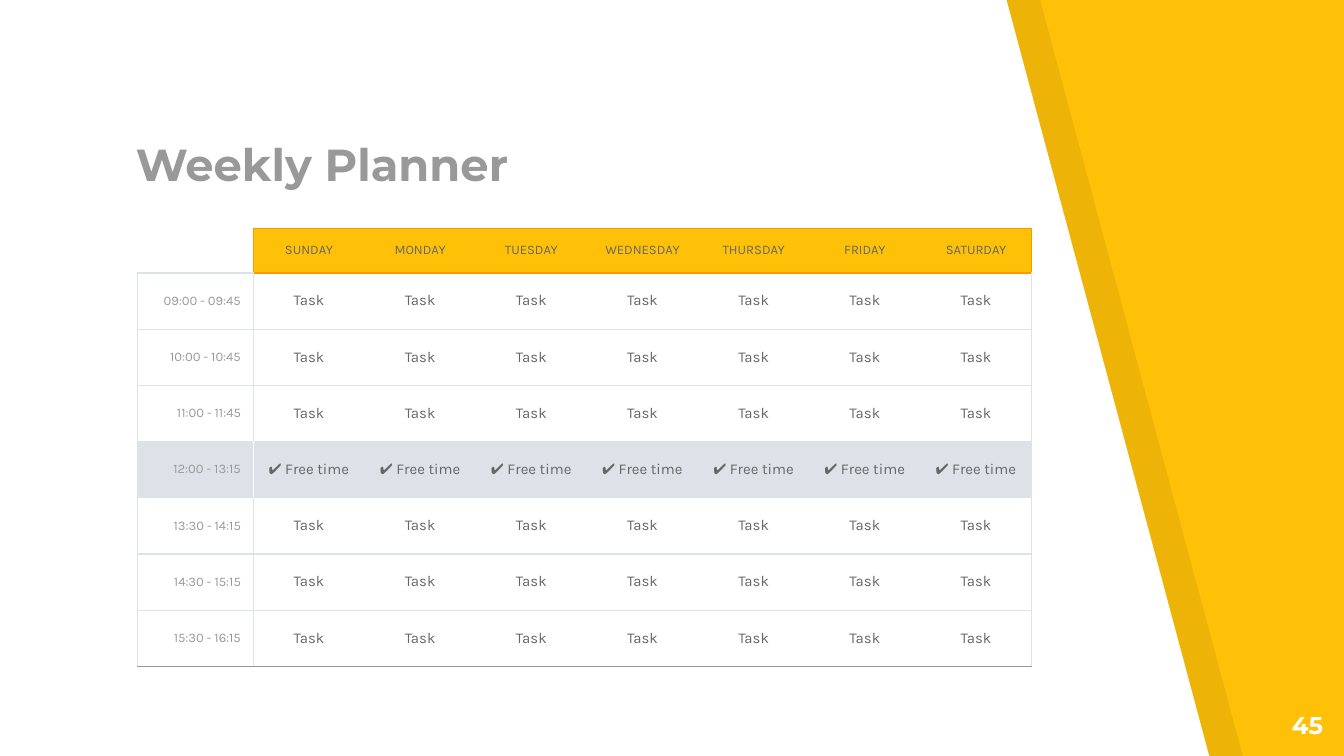
from dataclasses import dataclass

from lxml.etree import SubElement as Sub
from pptx import Presentation
from pptx.dml.color import RGBColor as Rgb
from pptx.enum.text import MSO_ANCHOR as Anchor, MSO_AUTO_SIZE as Fit, PP_ALIGN as Align
from pptx.oxml.ns import qn
from pptx.util import Pt

PX = 9525
PAD = 9


@dataclass(frozen=True)
class Theme:
    amber: str = "FFC107"
    rim: str = "FF9800"
    line: str = "DCE2E7"
    white: str = "FFFFFF"
    black: str = "000000"
    ink: str = "666666"
    grey: str = "999999"
    head: str = "Montserrat"
    body: str = "Karla"
    title: int = 24
    page: int = 13
    task: int = 8
    label: int = 7
    rule: float = 0.75


T = Theme()
DAYS = ["SUNDAY", "MONDAY", "TUESDAY", "WEDNESDAY", "THURSDAY", "FRIDAY", "SATURDAY"]
TIMES = ["09:00 - 09:45", "10:00 - 10:45", "11:00 - 11:45", "12:00 - 13:15",
         "13:30 - 14:15", "14:30 - 15:15", "15:30 - 16:15"]
BREAK = 4


def scale(box):
    return [n * PX for n in box]


def pad(part):
    part.margin_left = part.margin_right = PAD * PX
    part.margin_top = part.margin_bottom = PAD * PX


def write(frame, text, size, tone, face, align, bold=False):
    para = frame.paragraphs[0]
    para.alignment = align
    run = para.add_run()
    run.text = text
    font = run.font
    font.size, font.name, font.bold = Pt(size), face, bold
    font.color.rgb = Rgb.from_string(tone)


def panel(slide, box, tone, alpha=None):
    x, y, w, h = box
    form = slide.shapes.build_freeform(x, y, scale=PX)
    form.add_line_segments([(x, y + h), (x + w, y + h), (x + w - 145, y + 1)], close=True)
    shape = form.convert_to_shape()
    shape.shadow.inherit = False
    shape.line.fill.background()
    shape.fill.solid()
    shape.fill.fore_color.rgb = Rgb.from_string(tone)
    if alpha:
        color = shape.element.spPr.find(".//" + qn("a:srgbClr"))
        Sub(color, qn("a:alpha"), val=str(alpha * 1000))
    slide.slide_layout.shapes.element.append(shape.element)


def title(slide, box, text):
    shape = slide.shapes.title
    shape.left, shape.top, shape.width, shape.height = scale(box)
    frame = shape.text_frame
    frame.auto_size, frame.word_wrap = Fit.NONE, True
    frame.vertical_anchor = Anchor.BOTTOM
    pad(frame)
    write(frame, text, T.title, T.grey, T.head, Align.LEFT, True)


def number(slide, box, text):
    frame = slide.shapes.add_textbox(*scale(box)).text_frame
    frame.word_wrap = True
    pad(frame)
    write(frame, text, T.page, T.white, T.head, Align.RIGHT, True)


def upright(row, edge):
    if 1 < edge <= len(DAYS):
        return None
    if row == 0:
        return T.rim if edge else None
    return T.white if row == BREAK and edge == 1 else T.line


def level(edge, col):
    if edge > len(TIMES):
        return T.grey
    if edge < 2 and col:
        return T.rim
    return T.line if edge else None


def border(cell, row, col):
    edges = {"L": upright(row, col), "R": upright(row, col + 1),
             "T": level(row, col), "B": level(row + 1, col)}
    props = cell._tc.get_or_add_tcPr()
    for side, tone in edges.items():
        line = Sub(props, qn("a:ln" + side), w=str(Pt(T.rule)))
        if tone:
            Sub(Sub(line, qn("a:solidFill")), qn("a:srgbClr"), val=tone)
        else:
            Sub(line, qn("a:noFill"))


def paint(cell, tone):
    if tone:
        cell.fill.solid()
        cell.fill.fore_color.rgb = Rgb.from_string(tone)
    else:
        cell.fill.background()


def entry(cell, row, col):
    frame = cell.text_frame
    if row and col:
        text = "✔ Free time" if row == BREAK else "Task"
        write(frame, text, T.task, T.ink, T.body, Align.CENTER)
    elif row:
        write(frame, TIMES[row - 1], T.label, T.grey, T.body, Align.RIGHT)
    elif col:
        write(frame, DAYS[col - 1], T.label, T.ink, T.body, Align.CENTER)
    else:
        Sub(frame.paragraphs[0]._p, qn("a:endParaRPr"), sz=str(T.label * 100))


def spread(parts, first, total):
    rest = (total - first) * PX // (len(parts) - 1)
    return [first * PX] + [rest] * (len(parts) - 1)


def planner(slide, box):
    rows, cols = len(TIMES) + 1, len(DAYS) + 1
    table = slide.shapes.add_table(rows, cols, *scale(box)).table
    table.first_row = table.horz_banding = False
    for col, width in zip(table.columns, spread(table.columns, 83, box[2])):
        col.width = width
    for row, height in zip(table.rows, spread(table.rows, 32, box[3])):
        row.height = height
    for r in range(rows):
        for c in range(cols):
            cell = table.cell(r, c)
            pad(cell)
            cell.vertical_anchor = Anchor.MIDDLE
            border(cell, r, c)
            fill = T.line if r == BREAK else T.amber if r == 0 and c else None
            paint(cell, fill)
            entry(cell, r, c)


def main():
    deck = Presentation()
    deck.slide_width, deck.slide_height = scale((960, 540))
    slide = deck.slides.add_slide(deck.slide_layouts[5])
    back = slide.background.fill
    back.solid()
    back.fore_color.rgb = Rgb.from_string(T.amber)
    panel(slide, (24, -1, 864, 542), T.black, 7)
    panel(slide, (0, -1, 864, 542), T.white)
    title(slide, (88, 102, 504, 43), "Weekly Planner")
    number(slide, (897, 498, 57, 42), "45")
    planner(slide, (98, 163, 639, 313))
    deck.save("out.pptx")


if __name__ == "__main__":
    main()
